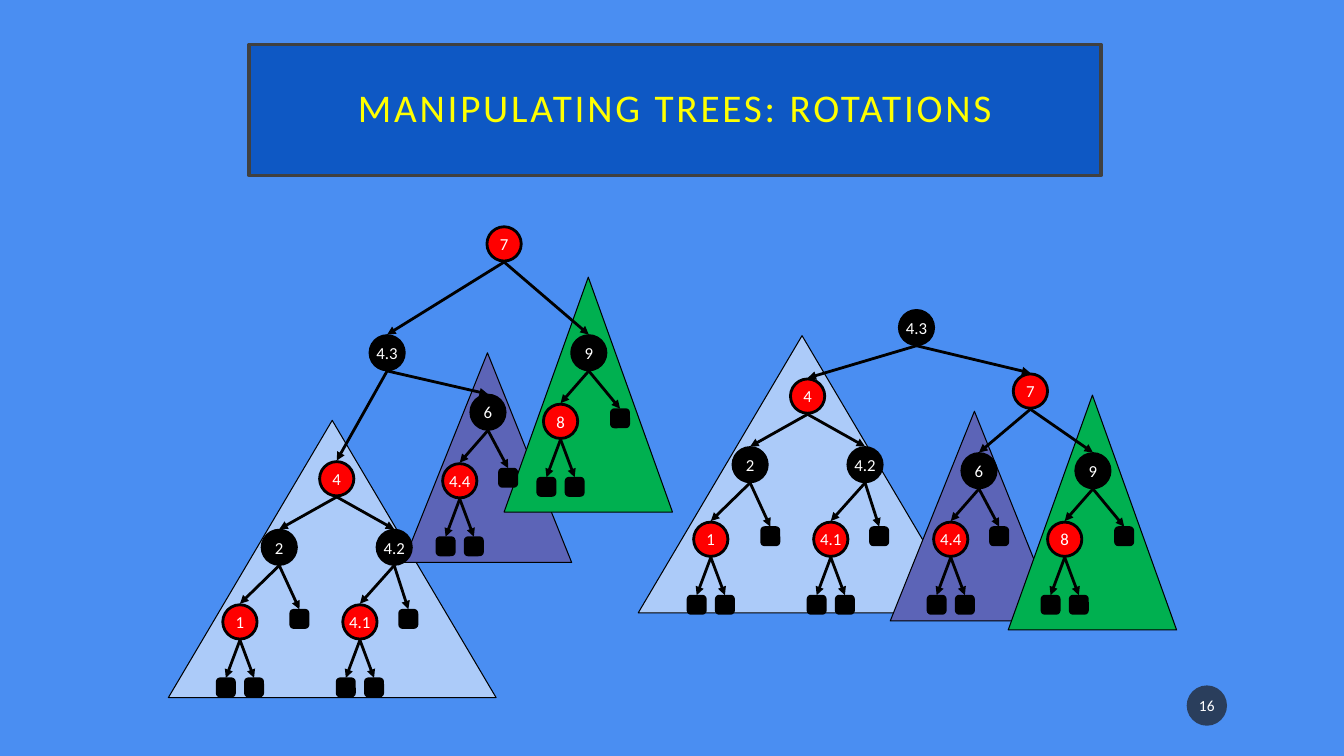
from lxml import etree
from pptx import Presentation
from pptx.dml.color import RGBColor
from pptx.enum.shapes import MSO_CONNECTOR, MSO_SHAPE
from pptx.enum.text import MSO_ANCHOR, MSO_AUTO_SIZE, PP_ALIGN
from pptx.oxml.ns import qn
from pptx.util import Inches, Pt

OVAL, LEAF = MSO_SHAPE.OVAL, MSO_SHAPE.ROUNDED_RECTANGLE
TRIANGLE, STRAIGHT = MSO_SHAPE.ISOSCELES_TRIANGLE, MSO_CONNECTOR.STRAIGHT
MIDDLE, CENTER = MSO_ANCHOR.MIDDLE, PP_ALIGN.CENTER

TITLE = "MANIPULATING TREES: ROTATIONS"
PAGE = "16"
FONT = "Calibri"
BLACK, WHITE, RED = "000000", "FFFFFF", "FF0000"
RED_KEYS = {"1", "4", "4.1", "4.4", "7", "8"}
NODE, SQUARE, GAP = 0.34, 0.17, 0.01

# Subtrees by root key: triangle colour and size, child nodes as
# (parent, key, dx, dy) and leaves as (parent, dx, dy), all from the parent centre
TWINS = (-0.14, 0.14)
SUBTREES = {
    "4": ("ACCBF9", (3.25, 2.75),
          [("4", "2", -0.57, 0.68), ("4", "4.2", 0.57, 0.68),
           ("2", "1", -0.39, 0.74), ("4.2", "4.1", -0.34, 0.74)],
          [("2", 0.2, 0.71), ("4.2", 0.14, 0.71)]
          + [(key, dx, 0.65) for key in ("1", "4.1") for dx in TWINS]),
    "6": ("5C64B7", (1.67, 2.08),
          [("6", "4.4", -0.28, 0.68)],
          [("6", 0.2, 0.65)] + [("4.4", dx, 0.65) for dx in TWINS]),
    "9": ("00B050", (1.67, 2.33),
          [("9", "8", -0.28, 0.68)],
          [("9", 0.31, 0.65)] + [("8", dx, 0.65) for dx in TWINS]),
}

# Each tree: node centres, edges between them, top-left corners of the triangles
TREES = [
    ({"4.3": (9.09, 3.25), "4": (8.01, 3.93), "7": (10.22, 3.88),
      "6": (9.71, 4.67), "9": (10.84, 4.67)},
     [("4.3", "4"), ("4.3", "7"), ("7", "6"), ("7", "9")],
     {"4": (6.33, 3.33), "6": (8.83, 4.08), "9": (10, 3.92)}),
    ({"7": (5, 2.42), "4.3": (3.84, 3.5), "4": (3.34, 4.75),
      "6": (4.84, 4.09), "9": (5.84, 3.5)},
     [("7", "4.3"), ("7", "9"), ("4.3", "4"), ("4.3", "6")],
     {"4": (1.67, 4.17), "6": (4, 3.5), "9": (5, 2.75)}),
]


def rgb(color):
    return RGBColor.from_string(color)


def add_shape(shapes, kind, box, fill, line=BLACK, width=2):
    sp = shapes.add_shape(kind, *map(Inches, box))
    sp.shadow.inherit = False
    sp.fill.solid()
    sp.fill.fore_color.rgb = rgb(fill)
    if line:
        sp.line.color.rgb = rgb(line)
        sp.line.width = Pt(width)
    else:
        sp.line.fill.background()
    return sp


def set_text(sp, text, size, color, wrap=True):
    tf = sp.text_frame
    tf.text = text
    tf.word_wrap = wrap
    tf.vertical_anchor = MIDDLE
    p = tf.paragraphs[0]
    p.alignment = CENTER
    p.font.name = FONT
    p.font.size = Pt(size)
    p.font.color.rgb = rgb(color)
    return tf


def add_centred(shapes, kind, centre, size, fill):
    x, y = centre
    return add_shape(shapes, kind, (x - size / 2, y - size / 2, size, size), fill)


def add_arrow(shapes, parent, child, child_size):
    """Join the bottom of the parent to the top of the child, given their centres."""
    (x1, y1), (x2, y2) = parent, child
    ends = (x1, y1 + NODE / 2 + GAP, x2, y2 - child_size / 2 - GAP)
    cx = shapes.add_connector(STRAIGHT, *map(Inches, ends))
    cx.line.color.rgb = rgb(BLACK)
    cx.line.width = Pt(2)
    etree.SubElement(cx.line._get_or_add_ln(), qn("a:tailEnd"), type="triangle")
    etree.SubElement(cx._element.spPr, qn("a:effectLst"))


def add_tree(slide, top_nodes, top_edges, corners):
    shapes = slide.shapes.add_group_shape().shapes
    centres, edges, leaves = dict(top_nodes), list(top_edges), []
    for root, (color, size, children, squares) in SUBTREES.items():
        add_shape(shapes, TRIANGLE, corners[root] + size, color, width=0.75)
        for parent, key, dx, dy in children:
            x, y = centres[parent]
            centres[key] = (x + dx, y + dy)
            edges.append((parent, key))
        leaves += squares

    for key, centre in centres.items():
        fill = RED if key in RED_KEYS else BLACK
        node = add_centred(shapes, OVAL, centre, NODE, fill)
        set_text(node, key, 12, WHITE, wrap=False)
    for parent, child in edges:
        add_arrow(shapes, centres[parent], centres[child], NODE)
    for parent, dx, dy in leaves:
        x, y = centres[parent]
        leaf = (x + dx, y + dy)
        add_centred(shapes, LEAF, leaf, SQUARE, BLACK)
        add_arrow(shapes, centres[parent], leaf, SQUARE)


prs = Presentation()
prs.slide_width, prs.slide_height = Inches(13.33), Inches(7.5)
s = prs.slides.add_slide(prs.slide_layouts[5])
s.background.fill.solid()
s.background.fill.fore_color.rgb = rgb("4A8EF2")

title = s.shapes.title
title.left, title.top, title.width, title.height = map(Inches, (2.47, 0.44, 8.45, 1.3))
title.fill.solid()
title.fill.fore_color.rgb = rgb("0E58C4")
title.line.color.rgb = rgb("404040")
title.line.width = Pt(2.5)
tf = set_text(title, TITLE, 28, "FFFF00")
tf.auto_size = MSO_AUTO_SIZE.NONE
tf.margin_left = tf.margin_right = tf.margin_top = tf.margin_bottom = Inches(0.2)
p = tf.paragraphs[0]
p.line_spacing = 0.9
p.runs[0].font._element.set("spc", "200")

for tree in TREES:
    add_tree(s, *tree)

badge = add_shape(s.shapes, OVAL, (11.77, 6.8, 0.4, 0.4), "1D1D1D", line=None)
badge_color = badge._element.spPr.find(qn("a:solidFill"))[0]
etree.SubElement(badge_color, qn("a:alpha"), val="70000")
tf = set_text(badge, PAGE, 11, WHITE)
tf.margin_left = tf.margin_right = Inches(0.02)

prs.save("out.pptx")
